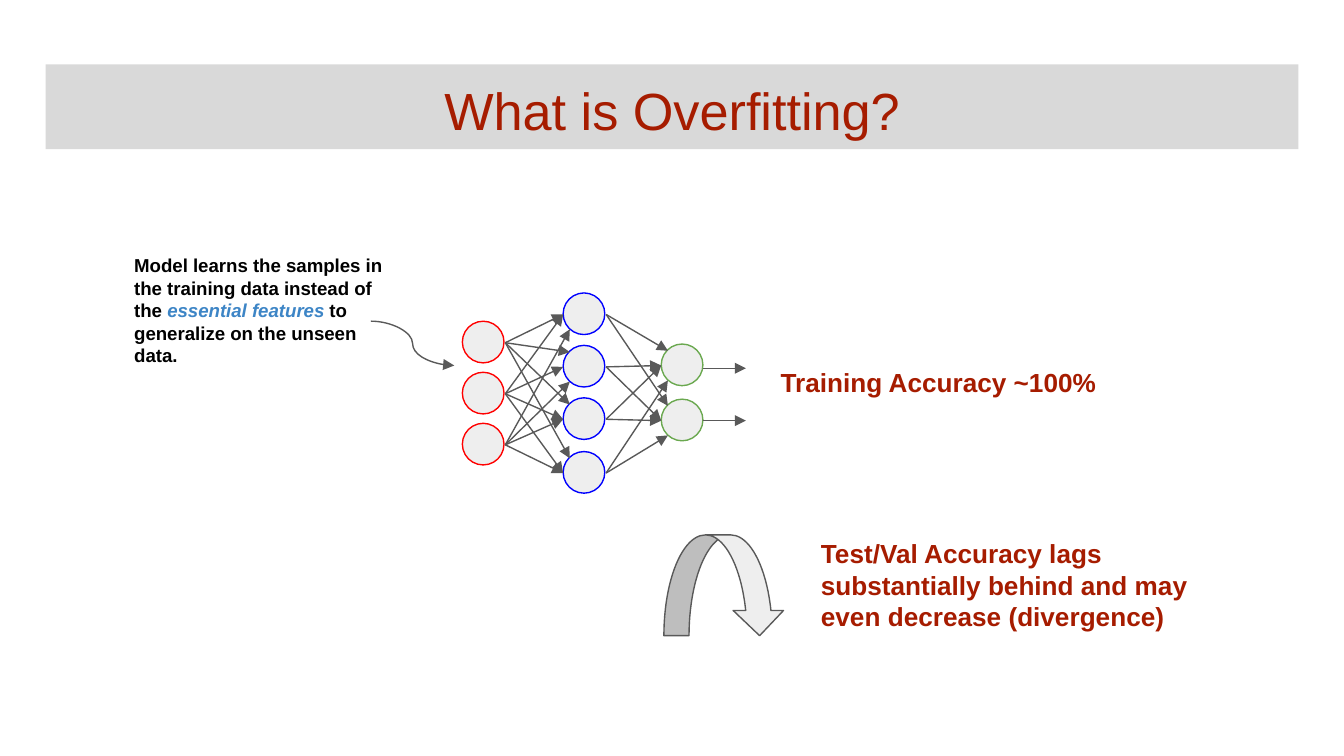
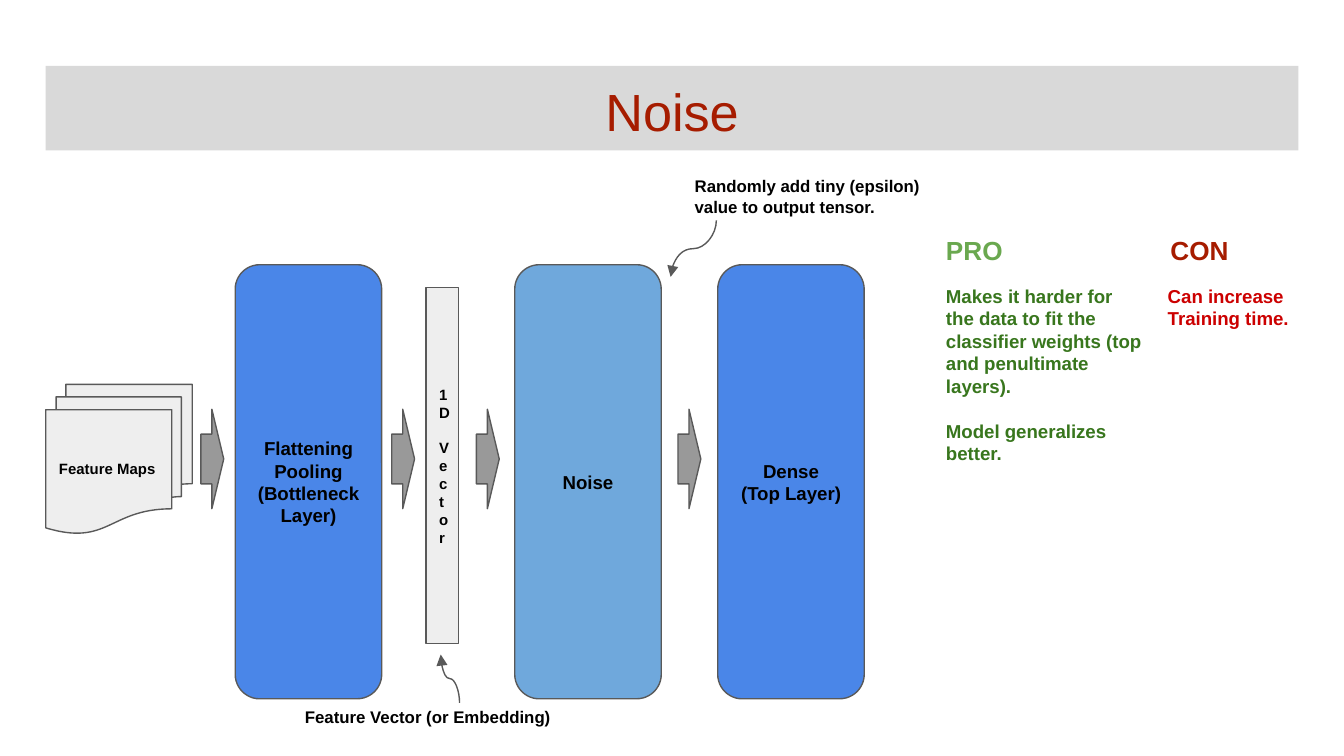
from lxml import etree
from pptx import Presentation
from pptx.dml.color import RGBColor
from pptx.enum.shapes import MSO_CONNECTOR, MSO_SHAPE
from pptx.enum.text import MSO_ANCHOR, PP_ALIGN
from pptx.oxml.ns import qn
from pptx.util import Inches, Pt

PX = 9144  # EMU in one px, 100 px to the inch
RECT, ROUNDED, CIRCLE = MSO_SHAPE.RECTANGLE, MSO_SHAPE.ROUNDED_RECTANGLE, MSO_SHAPE.OVAL
DOCUMENTS, DOWN_ARROW = MSO_SHAPE.FLOWCHART_MULTIDOCUMENT, MSO_SHAPE.DOWN_ARROW
CURVED_ARROW = MSO_SHAPE.CURVED_DOWN_ARROW
STRAIGHT, CURVE = MSO_CONNECTOR.STRAIGHT, MSO_CONNECTOR.CURVE
LEFT, CENTER = PP_ALIGN.LEFT, PP_ALIGN.CENTER
TOP, MIDDLE = MSO_ANCHOR.TOP, MSO_ANCHOR.MIDDLE

rgb = RGBColor.from_string
BLACK, BAND, PALE, OUTLINE, DARK_RED = "000000", "D9D9D9", "EEEEEE", "595959", "A61C00"
BLUE, LIGHT_BLUE, GREEN, GRAY = "4A86E8", "6FA8DC", "6AA84F", "999999"


def add_box(page, area, paras=(), kind=None, fill=PALE, line=OUTLINE, adjust=(),
            size=10, color=BLACK, align=LEFT, anchor=TOP, gap=0, bold=True):
    """Add a shape, or a text box if kind is None; each para is a list of (text, format) spans."""
    area = [length * PX for length in area]
    if kind is None:
        box = page.shapes.add_textbox(*area)
    else:
        box = page.shapes.add_shape(kind, *area)
        box.shadow.inherit = False
        box.fill.solid()
        box.fill.fore_color.rgb = rgb(fill)
        if line:
            box.line.color.rgb = rgb(line)
            box.line.width = Pt(0.75)
        else:
            box.line.fill.background()
        for index, value in enumerate(adjust):
            box.adjustments[index] = value
    frame = box.text_frame
    frame_format = {"word_wrap": True, "vertical_anchor": anchor}
    for side in ("left", "right", "top", "bottom"):
        frame_format["margin_" + side] = 10 * PX
    for name, value in frame_format.items():
        setattr(frame, name, value)
    for index, spans in enumerate(paras):
        para = frame.add_paragraph() if index else frame.paragraphs[0]
        para.alignment = align
        para.space_before = Pt(gap if index else 0)
        for text, changes in spans:
            span = para.add_run()
            span.text = text
            font_format = {"name": "Arial", "size": Pt(size), "bold": bold, "color": color} | changes
            span.font.color.rgb = rgb(font_format.pop("color"))
            for name, value in font_format.items():
                setattr(span.font, name, value)
    return box


def add_arrow(page, start, end, kind=STRAIGHT, turn=0):
    """Add an arrow; turn rotates it clockwise by degrees about its centre."""
    arrow = page.shapes.add_connector(kind, *[length * PX for length in (*start, *end)])
    arrow.line.color.rgb = rgb(OUTLINE)
    arrow.line.width = Pt(0.75)
    etree.SubElement(arrow.line._get_or_add_ln(), qn("a:tailEnd"), type="triangle")
    properties = arrow._element.spPr
    etree.SubElement(properties, qn("a:effectLst"))
    if turn:
        properties.find(qn("a:xfrm")).set("rot", str(turn * 60000))


deck = Presentation()
deck.slide_width = Inches(10)
deck.slide_height = deck.slide_width * 9 // 16
pages = []
for title, top in (("What is Overfitting?", 48), ("Noise", 49)):
    page = deck.slides.add_slide(deck.slide_layouts[6])
    add_box(page, (34, top, 932, 63), [[(title, {})]], RECT, BAND, None,
            size=28, color=DARK_RED, align=CENTER, bold=False)
    pages.append(page)
overfitting, noise = pages

# Overfitting: a small network, layer by layer
NODE, MID, HIGH, LOW = 31, 16, 5, 27
layers = [
    (344, "FF0000", (239, 277, 315)),
    (419, "0000FF", (218, 257, 296, 336)),
    (492, GREEN, (256, 297)),
]
for left, color, tops in layers:
    for top in tops:
        add_box(overfitting, (left, top, NODE, NODE), kind=CIRCLE, line=color)

# Height at which each node's arrows enter the nodes of the next layer
entries = [
    [(MID, HIGH, HIGH, HIGH), (MID, MID, MID, MID), (LOW, LOW, MID, MID)],
    [(HIGH, HIGH), (MID, MID), (MID, MID), (LOW, LOW)],
]
for (left, _, tops), (next_left, _, next_tops), rows in zip(layers, layers[1:], entries):
    for top, row in zip(tops, rows):
        for next_top, entry in zip(next_tops, row):
            inset = 0 if entry == MID else 5
            add_arrow(overfitting, (left + NODE + 1, top + MID),
                      (next_left + inset, next_top + entry))
for y in (274, 313):
    add_arrow(overfitting, (523, y), (555, y))

add_box(overfitting, (90, 179, 208, 109), [[
    ("Model learns the samples in the training data instead of the ", {}),
    ("essential features", {"color": "3D85C6", "italic": True}),
    (" to generalize on the unseen data.", {}),
]])
add_arrow(overfitting, (276, 239), (338, 272), CURVE)
add_box(overfitting, (494, 398, 90, 75), kind=CURVED_ARROW, adjust=(0.25, 0.5, 0.25))
results = [
    ((571, 263, 294, 50), "Training Accuracy ~100%"),
    ((601, 390, 294, 92),
     "Test/Val Accuracy lags substantially behind and may even decrease (divergence)"),
]
for area, text in results:
    add_box(overfitting, area, [[(text, {})]], size=14, color=DARK_RED)

# Noise: the layers from feature maps to the top layer
add_box(noise, (34, 286, 109, 111), [[("Feature Maps", {})]], DOCUMENTS, size=8, anchor=MIDDLE)
blocks = [
    (175, BLUE, ("Flattening", "Pooling", "(Bottleneck Layer)")),
    (383, LIGHT_BLUE, ("Noise",)),
    (534, BLUE, ("Dense", "(Top Layer)")),
]
for left, fill, lines in blocks:
    add_box(noise, (left, 197, 109, 323), [[(text, {})] for text in lines], ROUNDED, fill,
            adjust=(0.167,), align=CENTER, anchor=MIDDLE)
add_box(noise, (317, 214, 24, 265), [[(text, {})] for text in ("1D", " Vect", "or")], RECT,
        size=8, anchor=MIDDLE)
for left in (121, 263, 326, 476):
    step = add_box(noise, (left, 333, 74, 17), kind=DOWN_ARROW, fill=GRAY, adjust=(0.5, 0.517))
    step.rotation = 270

add_arrow(noise, (353, 498), (317, 512), CURVE, turn=90)
add_arrow(noise, (495, 168), (537, 202), CURVE, turn=90)
notes = [
    ((217, 518, 253, 44), ("Feature Vector (or Embedding)",), 9, BLACK, 0),
    ((507, 121, 198, 70), ("Randomly add tiny (epsilon) value to output tensor.",), 9, BLACK, 0),
    ((694, 202, 165, 314),
     ("Makes it harder for the data to fit the classifier weights (top and penultimate layers).",
      "Model generalizes better."), 10, "38761D", 12),
    ((859, 202, 121, 296), ("Can increase", "Training time."), 10, "CC0000", 0),
]
for area, lines, size, color, gap in notes:
    add_box(noise, area, [[(text, {})] for text in lines], size=size, color=color, gap=gap)

# PRO and CON share one heading line, set apart by a tab stop
heading = add_box(noise, (694, 164, 286, 52), [[("PRO\t", {}), ("CON", {"color": DARK_RED})]],
                  size=14, color=GREEN)
heading_format = heading.text_frame.paragraphs[0]._p.get_or_add_pPr()
tab_stops = etree.SubElement(heading_format, qn("a:tabLst"))
etree.SubElement(tab_stops, qn("a:tab"), pos=str(167 * PX), algn="l")

deck.save("out.pptx")
